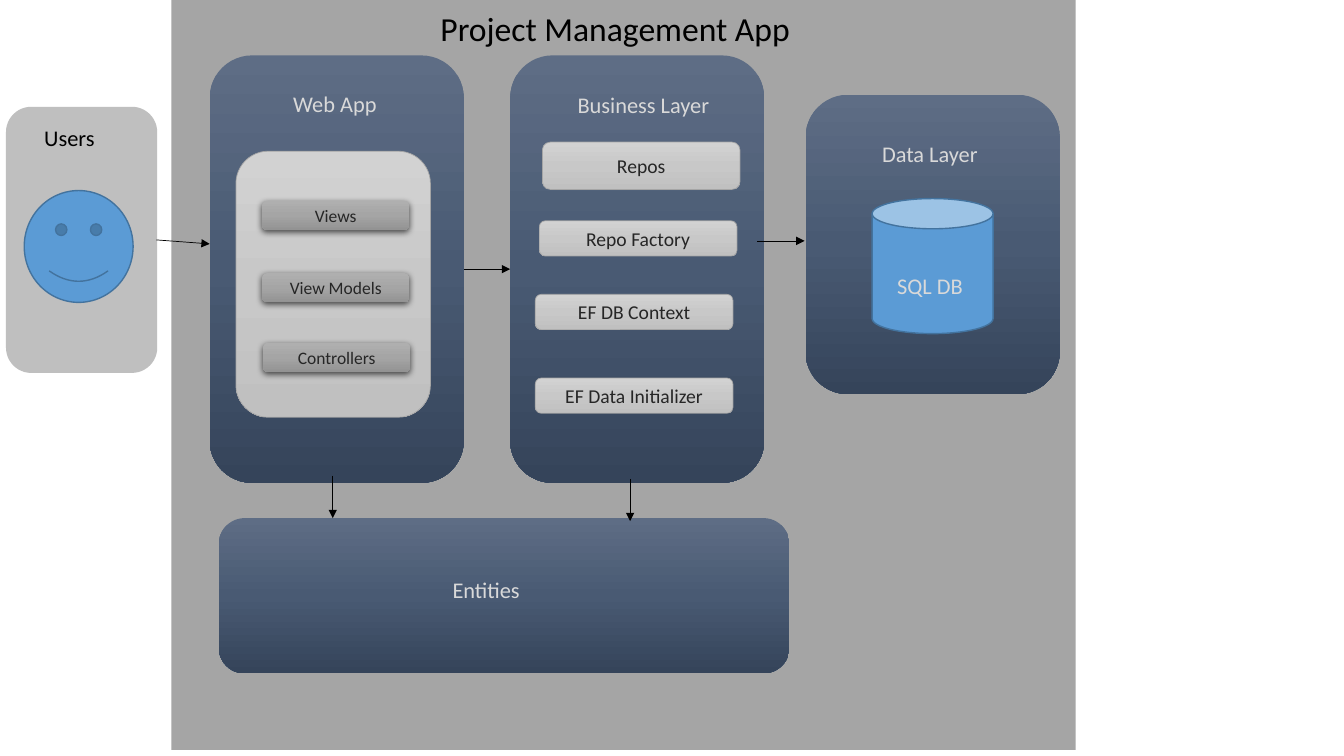
from lxml import etree
from pptx import Presentation, util as u
from pptx.dml.color import RGBColor
from pptx.enum import shapes, text
from pptx.oxml import ns

THEME = {
    "font": "Calibri",
    "ink": "000000", "pale": "D9D9D9", "dark": "262626",
    "title": 24, "label": 16, "module": 14, "view": 12.5,
}
# Each style: fill (one colour or three gradient stops), line, shadow, text size
NAVY = {"fill": ["5E6D85", "495A73", "35445A"]}
SILVER = {"fill": ["D2D2D2", "C8C8C8", "C0C0C0"], "line": ("A5A5A5", 0.5),
          "size": THEME["module"]}
STEEL = {"fill": ["AFAFAF", "A5A5A5", "939393"], "shadow": True,
         "size": THEME["view"]}
BLUE = {"fill": ["5B9BD5"], "line": ("43739E", 1)}
GREY = {"fill": ["A5A5A5"]}
LIGHT = {"fill": ["BFBFBF"]}

# Content: shapes from back to front (kind, style, box, caption)
KIND = shapes.MSO_SHAPE
ROUND = KIND.ROUNDED_RECTANGLE
LAYER_W = 2.52
PANELS = [
    (ROUND, LIGHT, (0.06, 1.06, 1.5, 2.64)),                # users
    (KIND.RECTANGLE, GREY, (1.7, -0.06, 8.97, 7.5)),        # app
    (ROUND, NAVY, (2.08, 0.55, LAYER_W, 4.24)),             # web app
    (ROUND, SILVER, (2.34, 1.5, 1.93, 2.64)),               # web parts
    (ROUND, NAVY, (5.06, 0.55, LAYER_W, 4.24)),             # business layer
    (ROUND, NAVY, (7.99, 0.94, LAYER_W, 2.97)),             # data layer
    (ROUND, NAVY, (2.17, 5.14, 5.66, 1.54)),                # entities
    (KIND.SMILEY_FACE, BLUE, (0.24, 1.89, 1.08, 1.11)),
    (KIND.CAN, BLUE, (8.65, 1.97, 1.2, 1.34)),
]
WEB_PARTS = [("Views", 2.6, 1.99), ("View Models", 2.6, 2.71),
             ("Controllers", 2.61, 3.4)]
BUSINESS_PARTS = [("Repos", 5.38, 1.41, 0.47), ("Repo Factory", 5.35, 2.19, 0.35),
                  ("EF DB Context", 5.31, 2.92, 0.35),
                  ("EF Data Initializer", 5.31, 3.75, 0.35)]
LABELS = [  # caption, left, top, width, size, colour
    ("Project Management App", 4.27, 0.03, 3.79, "title", "ink"),
    ("Users", 0.34, 1.18, 0.72, "label", "ink"),
    ("Web App", 2.81, 0.85, 1.11, "label", "pale"),
    ("Business Layer", 5.63, 0.86, 1.58, "label", "pale"),
    ("Data Layer", 8.65, 1.34, 1.18, "label", "pale"),
    ("Entities", 4.39, 5.67, 0.88, "label", "pale"),
    ("SQL DB", 8.8, 2.65, 0.88, "label", "pale"),
]
ARROWS = [
    (1.55, 2.38, 2.08, 2.42),   # users to web app
    (4.6, 2.67, 5.06, 2.67),    # web app to business layer
    (7.51, 2.39, 7.98, 2.39),   # business layer to data layer
    (3.3, 4.72, 3.3, 5.14),     # web app to entities
    (6.25, 4.75, 6.25, 5.17),   # business layer to entities
]

prs = Presentation()
prs.slide_width, prs.slide_height = u.Inches(13.33), u.Inches(7.5)
slide = prs.slides.add_slide(prs.slide_layouts[6])


def inches(values):
    return [u.Inches(v) for v in values]


def add_xml(parent, tag, **attrs):
    return etree.SubElement(parent, ns.qn("a:" + tag), attrs)


def paint(sp, colours):
    if len(colours) == 1:
        sp.fill.solid()
        sp.fill.fore_color.rgb = RGBColor.from_string(colours[0])
        return
    sp.fill.gradient()
    sp.fill.gradient_angle = 270
    stops = sp._element.spPr.find(".//" + ns.qn("a:gsLst"))
    for stop in list(stops):
        stops.remove(stop)
    for i, colour in enumerate(colours):
        stop = add_xml(stops, "gs", pos=str(i * 50000))
        add_xml(stop, "srgbClr", val=colour)


def write(sp, caption, size, colour, align=None):
    p = sp.text_frame.paragraphs[0]
    p.alignment = align
    r = p.add_run()
    r.text = caption
    for key, value in {"name": THEME["font"], "size": u.Pt(size)}.items():
        setattr(r.font, key, value)
    r.font.color.rgb = RGBColor.from_string(THEME[colour])


def add_box(kind, style, box, caption=None):
    sp = slide.shapes.add_shape(kind, *inches(box))
    sp.shadow.inherit = False
    paint(sp, style["fill"])
    if "line" in style:
        colour, width = style["line"]
        sp.line.color.rgb = RGBColor.from_string(colour)
        sp.line.width = u.Pt(width)
    else:
        sp.line.fill.background()
    if style.get("shadow"):
        effects = sp._element.spPr.find(ns.qn("a:effectLst"))
        shadow = add_xml(effects, "outerShdw", blurRad=str(u.Pt(4.5)),
                         dist=str(u.Pt(1.5)), dir="5400000", rotWithShape="0")
        add_xml(add_xml(shadow, "srgbClr", val="000000"), "alpha", val="63000")
    if caption:
        sp.text_frame.vertical_anchor = text.MSO_ANCHOR.MIDDLE
        write(sp, caption, style["size"], "dark", text.PP_ALIGN.CENTER)


# Panels and their parts
for panel in PANELS:
    add_box(*panel)
for caption, left, top in WEB_PARTS:
    add_box(ROUND, STEEL, (left, top, 1.46, 0.29), caption)
for caption, left, top, height in BUSINESS_PARTS:
    add_box(ROUND, SILVER, (left, top, 1.96, height), caption)

# Labels
for caption, left, top, width, size, colour in LABELS:
    height = 0.5 if size == "title" else 0.37
    sp = slide.shapes.add_textbox(*inches((left, top, width + 0.03, height)))
    sp.text_frame.word_wrap = True
    write(sp, caption, THEME[size], colour)

# Arrows
for ends in ARROWS:
    line = slide.shapes.add_connector(shapes.MSO_CONNECTOR.STRAIGHT, *inches(ends))
    line.line.color.rgb = RGBColor.from_string(THEME["ink"])
    line.line.width = u.Pt(0.5)
    add_xml(line.line._get_or_add_ln(), "tailEnd", type="triangle")
    add_xml(line._element.spPr, "effectLst")

prs.save("out.pptx")
